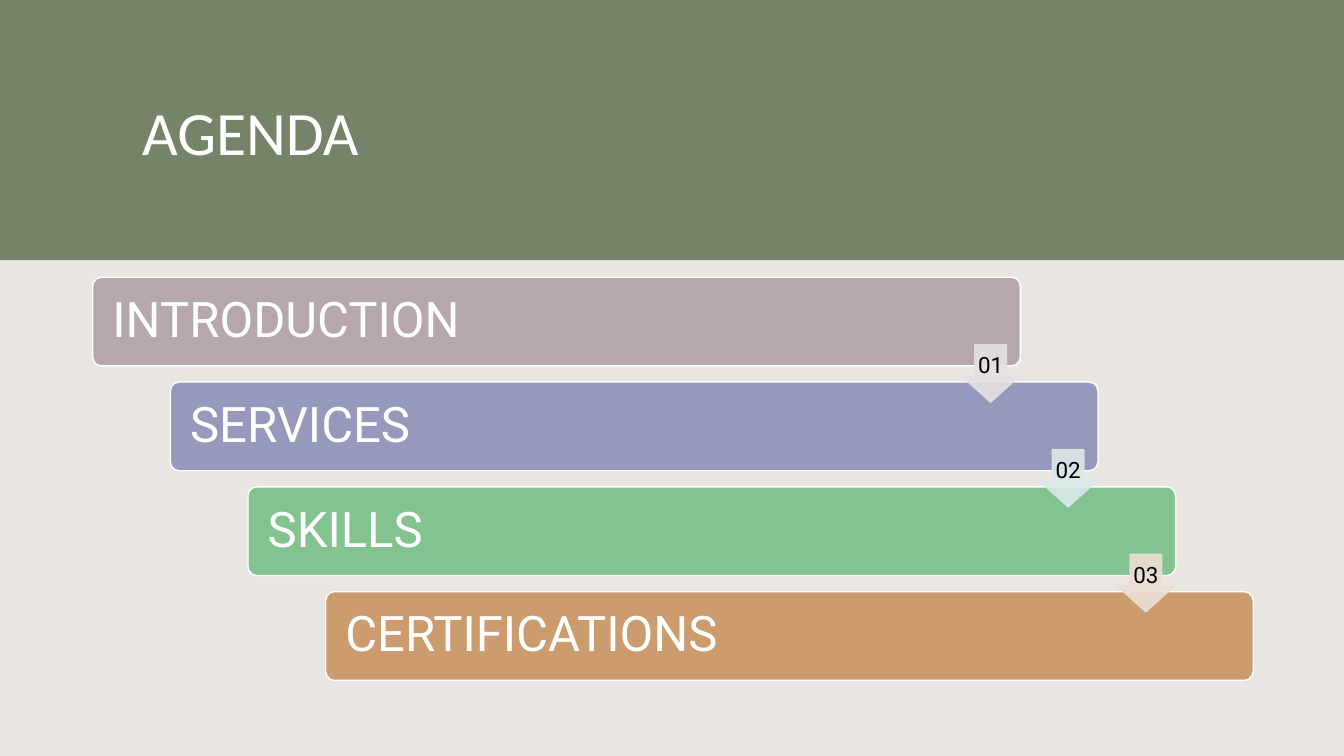
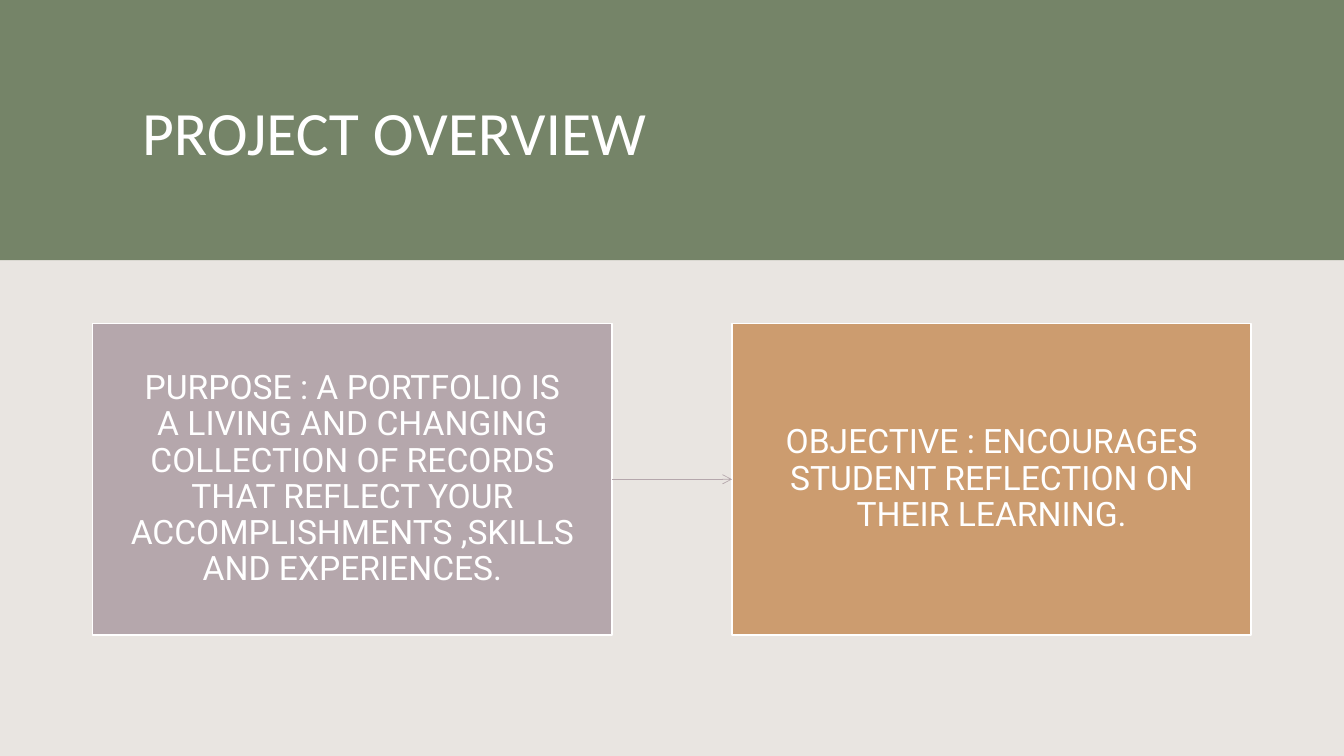
"""Build the agenda and project overview slides."""
from lxml import etree
from pptx import Presentation
from pptx.dml.color import RGBColor
from pptx.enum.shapes import MSO_CONNECTOR, MSO_SHAPE
from pptx.enum.text import MSO_ANCHOR, PP_ALIGN
from pptx.oxml.ns import qn
from pptx.util import Inches, Pt

RECT, ROUNDED = MSO_SHAPE.RECTANGLE, MSO_SHAPE.ROUNDED_RECTANGLE
DOWN_ARROW = MSO_SHAPE.DOWN_ARROW
STRAIGHT = MSO_CONNECTOR.STRAIGHT
LEFT, CENTER, MIDDLE = PP_ALIGN.LEFT, PP_ALIGN.CENTER, MSO_ANCHOR.MIDDLE

COLORS = {
    "ground": "E9E5E1", "band": "758468", "white": "FFFFFF", "black": "000000",
    "mauve": "B5A7AC", "violet": "9699BB", "green": "83C390", "orange": "CC9C6F",
    "pale_mauve": "E5E1E3", "pale_blue": "DBE8E9", "pale_orange": "ECDED5",
}
RGB = {name: RGBColor.from_string(value) for name, value in COLORS.items()}


def add_block(slide, kind, box, fill, line=None):
    """Add a filled shape without shadow, outlined if a line colour is given."""
    block = slide.shapes.add_shape(kind, *map(Inches, box))
    block.shadow.inherit = False
    block.fill.solid()
    block.fill.fore_color.rgb = RGB[fill]
    if line:
        block.line.color.rgb = RGB[line]
        block.line.width = Pt(1)
    else:
        block.line.fill.background()
    return block


def write(shape, text, size, color="white", font="Roboto", align=LEFT, margins=(0.1, 0.05), spacing=0.9):
    """Fill a shape with one formatted paragraph."""
    frame = shape.text_frame
    frame.text = text
    side, edge = map(Inches, margins)
    frame_format = {
        "word_wrap": True, "vertical_anchor": MIDDLE, "margin_left": side,
        "margin_right": side, "margin_top": edge, "margin_bottom": edge,
    }
    paragraph = frame.paragraphs[0]
    paragraph_format = {"alignment": align, "line_spacing": spacing}
    font_format = {"size": Pt(size), "name": font}
    for target, values in ((frame, frame_format), (paragraph, paragraph_format), (paragraph.font, font_format)):
        for key, value in values.items():
            setattr(target, key, value)
    paragraph.font.color.rgb = RGB[color]


prs = Presentation()
prs.slide_width, prs.slide_height = Inches(13.33), Inches(7.5)
title_only = prs.slide_layouts[5]
title_only.background.fill.solid()
title_only.background.fill.fore_color.rgb = RGB["ground"]

slides = []
for heading in ("AGENDA", "PROJECT OVERVIEW"):
    slide = prs.slides.add_slide(title_only)
    band = add_block(slide, RECT, (0, 0, 13.33, 2.58), "band")
    title = slide.shapes.title
    band._element.addnext(title._element)
    title.left, title.top, title.width, title.height = map(Inches, (1.31, 0.42, 10.94, 1.75))
    write(title, heading, 44, font="Calibri", spacing=1.0)
    slides.append(slide)
agenda, overview = slides

STEP_X, STEP_Y = 0.77, 1.04
topics = [("INTRODUCTION", "mauve"), ("SERVICES", "violet"), ("SKILLS", "green"), ("CERTIFICATIONS", "orange")]
for i, (topic, color) in enumerate(topics):
    bar = add_block(agenda, ROUNDED, (0.92 + i * STEP_X, 2.75 + i * STEP_Y, 9.2, 0.88), color, "white")
    bar.adjustments[0] = 0.1
    write(bar, topic, 35, margins=(0.17, 0.15))

for i, color in enumerate(("pale_mauve", "pale_blue", "pale_orange")):
    marker = add_block(agenda, DOWN_ARROW, (9.54 + i * STEP_X, 3.42 + i * STEP_Y, 0.57, 0.57), color, color)
    marker.adjustments[0], marker.adjustments[1] = 0.55, 0.45
    for tint in marker._element.spPr.iter(qn("a:srgbClr")):
        etree.SubElement(tint, qn("a:alpha"), val="90000")
    write(marker, f"{i + 1:02d}", 16, color="black", align=CENTER, margins=(0.02, 0.02))
    marker.text_frame.word_wrap = False

statements = [
    ("PURPOSE : A PORTFOLIO IS\vA LIVING AND CHANGING COLLECTION OF RECORDS "
     "THAT REFLECT YOUR ACCOMPLISHMENTS ,SKILLS AND EXPERIENCES.", "mauve"),
    ("OBJECTIVE : ENCOURAGES STUDENT REFLECTION ON THEIR LEARNING.", "orange"),
]
cards = []
for i, (statement, color) in enumerate(statements):
    card = add_block(overview, RECT, (0.92 + i * 6.34, 3.21, 5.15, 3.09), color, "white")
    write(card, statement, 24, align=CENTER, margins=(0.25, 0.27))
    cards.append(card)

purpose, objective = cards
link = overview.shapes.add_connector(STRAIGHT, 0, 0, 0, 0)
link.begin_connect(purpose, 3)
link.end_connect(objective, 1)
link.line.color.rgb = RGB["mauve"]
link.line.width = Pt(0.5)
etree.SubElement(link.line._get_or_add_ln(), qn("a:tailEnd"), type="arrow")
etree.SubElement(link._element.spPr, qn("a:effectLst"))

prs.save("out.pptx")
